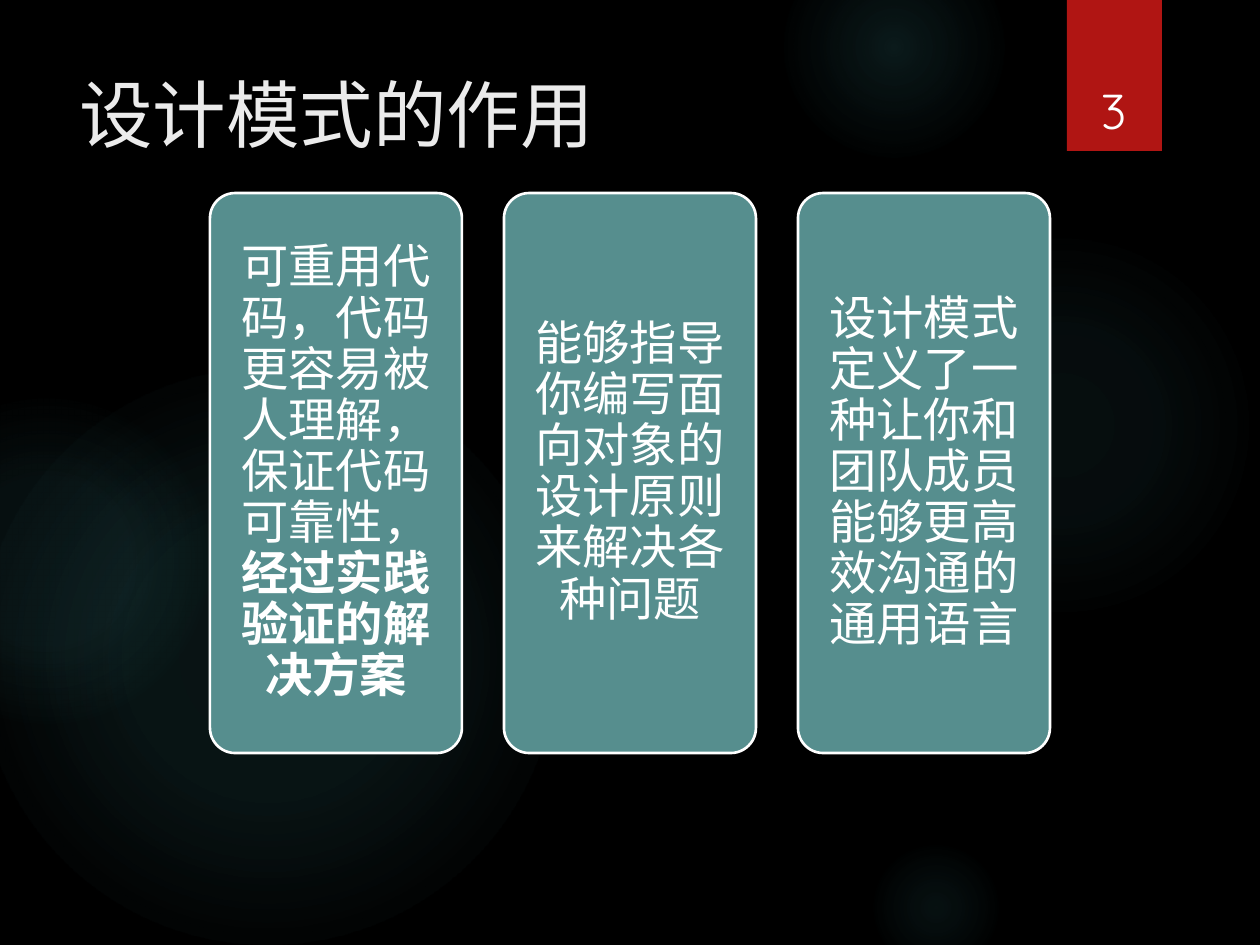
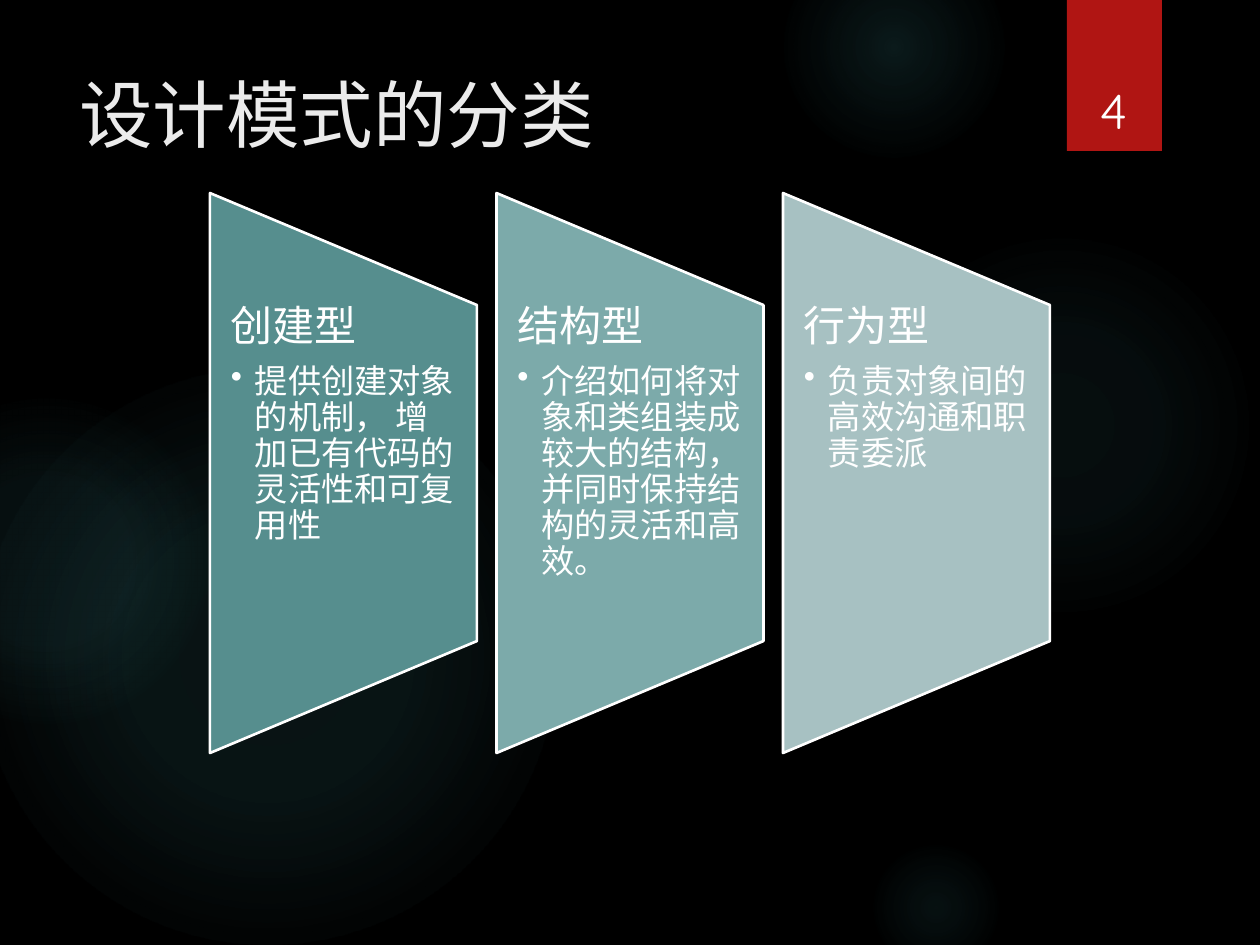
import dataclasses

import pptx
import pptx.dml.color
import pptx.enum.shapes
import pptx.enum.text
import pptx.oxml
import pptx.oxml.ns
import pptx.util


@dataclasses.dataclass(frozen=True)
class Theme:
    font: str = "Quicksand"
    back: str = "000000"
    glow: str = "50B9C1"
    red: str = "B01513"
    pale: str = "EBEBEB"
    white: str = "FFFFFF"
    teals: tuple = ("568E8E", "7CAAAA", "A7C1C2")
    title: int = 42
    page: int = 28
    card: int = 27
    head: int = 24
    body: int = 19
    edge: float = 1.5


theme = Theme()
rgb = pptx.dml.color.RGBColor.from_string
forms = pptx.enum.shapes.MSO_SHAPE
anchors = pptx.enum.text.MSO_ANCHOR
center = pptx.enum.text.PP_ALIGN.CENTER
space = pptx.oxml.ns.nsdecls("a")
scale = 914400 / 126  # EMU in one px


def px(*sizes):
    """Turn px lengths into a list of EMU lengths."""
    return [pptx.util.Emu(round(size * scale)) for size in sizes]


def write(par, text, size, hue, bold=None):
    run = par.add_run()
    run.text = text
    run.font.name = theme.font
    run.font.size = pptx.util.Pt(size)
    run.font.color.rgb = rgb(hue)
    run.font.bold = bold


# left, top, diameter, gradient stops as (position %, opacity %)
orbs = [
    (868, 231, 388, [(0, 7), (36, 6), (69, 0)]),
    (784, -63, 220, [(0, 14), (36, 7), (73, 0)]),
    (868, 840, 136, [(0, 9), (36, 5), (66, 0)]),
    (-21, 368, 577, [(0, 11), (36, 10), (75, 0)]),
    (-116, 399, 325, [(0, 8), (36, 8), (72, 0)]),
]
titles = ["设计模式的作用", "设计模式的分类"]
roles = [
    [("可重用代码，代码更容易被人理解，保证代码可靠性，", None), ("经过实践验证的解决方案", True)],
    [("能够指导你编写面向对象的设计原则来解决各种问题", None)],
    [("设计模式定义了一种让你和团队成员能够更高效沟通的通用语言", None)],
]
kinds = [
    ("创建型", "提供创建对象的机制， 增加已有代码的灵活性和可复用性"),
    ("结构型", "介绍如何将对象和类组装成较大的结构， 并同时保持结构的灵活和高效。"),
    ("行为型", "负责对象间的高效沟通和职责委派"),
]
left, top, wide, tall = 210, 193, 840, 560  # area of the three columns

deck = pptx.Presentation()
deck.slide_width, deck.slide_height = px(1260, 945)

# Shared backdrop, ribbon, title and page number
slides = []
for page, title in enumerate(titles, 3):
    slide = deck.slides.add_slide(deck.slide_layouts[6])
    slides.append(slide)
    slide.background.fill.solid()
    slide.background.fill.fore_color.rgb = rgb(theme.back)

    for x, y, size, stops in orbs:
        orb = slide.shapes.add_shape(forms.OVAL, *px(x, y, size, size))
        orb.shadow.inherit = False
        orb.line.fill.background()
        marks = "".join(
            f'<a:gs pos="{pos * 1000}"><a:srgbClr val="{theme.glow}">'
            f'<a:alpha val="{alpha * 1000}"/></a:srgbClr></a:gs>'
            for pos, alpha in stops)
        orb.element.spPr.insert(2, pptx.oxml.parse_xml(
            f'<a:gradFill {space} rotWithShape="1"><a:gsLst>{marks}</a:gsLst>'
            '<a:path path="circle"><a:fillToRect l="50000" t="50000" r="50000" b="50000"/>'
            '</a:path></a:gradFill>'))

    ribbon = slide.shapes.add_shape(forms.RECTANGLE, *px(1067, 0, 95, 151))
    ribbon.fill.solid()
    ribbon.fill.fore_color.rgb = rgb(theme.red)
    ribbon.line.fill.background()
    ribbon.shadow.inherit = False
    ribbon.element.spPr.find(pptx.oxml.ns.qn("a:effectLst")).append(pptx.oxml.parse_xml(
        f'<a:outerShdw {space} blurRad="38100" dist="25400" dir="5400000" rotWithShape="0">'
        '<a:srgbClr val="000000"><a:alpha val="45000"/></a:srgbClr></a:outerShdw>'))

    frame = slide.shapes.add_textbox(*px(67, 63, 973, 106)).text_frame
    frame.word_wrap = True
    write(frame.paragraphs[0], title, theme.title, theme.pale)

    frame = slide.shapes.add_textbox(*px(1070, 40, 87, 106)).text_frame
    frame.word_wrap = True
    frame.vertical_anchor = anchors.BOTTOM
    frame.paragraphs[0].alignment = center
    write(frame.paragraphs[0], str(page), theme.page, theme.white)

# Roles: three rounded cards
span = 252
step = (wide - span) / 2
for col, runs in enumerate(roles):
    card = slides[0].shapes.add_shape(
        forms.ROUNDED_RECTANGLE, *px(left + col * step, top, span, tall))
    card.adjustments[0] = 0.1
    card.shadow.inherit = False
    card.fill.solid()
    card.fill.fore_color.rgb = rgb(theme.teals[0])
    card.line.color.rgb = rgb(theme.white)
    card.line.width = pptx.util.Pt(theme.edge)
    frame = card.text_frame
    frame.word_wrap = True
    frame.vertical_anchor = anchors.MIDDLE
    frame.margin_left, frame.margin_top, frame.margin_right, frame.margin_bottom = px(14, 14, 14, 14)
    par = frame.paragraphs[0]
    par.alignment = center
    par.line_spacing = 0.9
    for text, bold in runs:
        write(par, text, theme.card, theme.white, bold)

# Kinds: three trapezoids turned on their side, with upright text
span = 267
step = (wide - span) / 2
for col, (head, body) in enumerate(kinds):
    x = left + col * step
    panel = slides[1].shapes.add_shape(
        forms.FLOWCHART_MANUAL_OPERATION,
        *px(x + (span - tall) / 2, top + (tall - span) / 2, tall, span))
    panel.rotation = 270
    panel.shadow.inherit = False
    panel.fill.solid()
    panel.fill.fore_color.rgb = rgb(theme.teals[col])
    panel.line.color.rgb = rgb(theme.white)
    panel.line.width = pptx.util.Pt(theme.edge)

    frame = slides[1].shapes.add_textbox(*px(x, top + tall / 5, span, tall * 3 / 5)).text_frame
    frame.word_wrap = True
    frame.margin_left, frame.margin_top, frame.margin_right, frame.margin_bottom = px(21, 0, 21, 0)
    par = frame.paragraphs[0]
    par.line_spacing = 0.9
    par.space_after = pptx.util.Pt(theme.head * 0.35)
    write(par, head, theme.head, theme.white)

    par = frame.add_paragraph()
    par.level = 1
    par.line_spacing = 0.9
    write(par, body, theme.body, theme.white)
    props = par._p.get_or_add_pPr()
    hang = px(24)[0]
    props.set("marL", str(hang))
    props.set("indent", str(-hang))
    props.append(pptx.oxml.parse_xml(f'<a:buChar {space} char="•"/>'))

deck.save("out.pptx")
